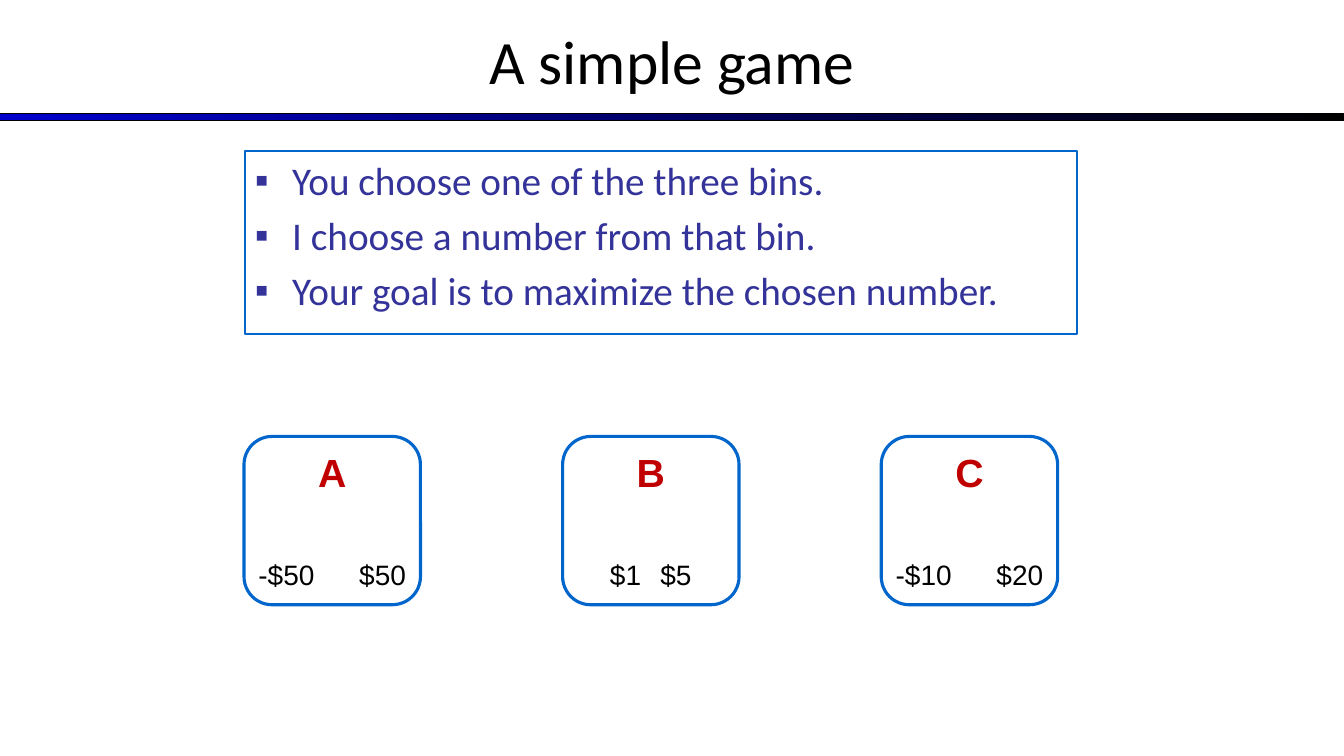
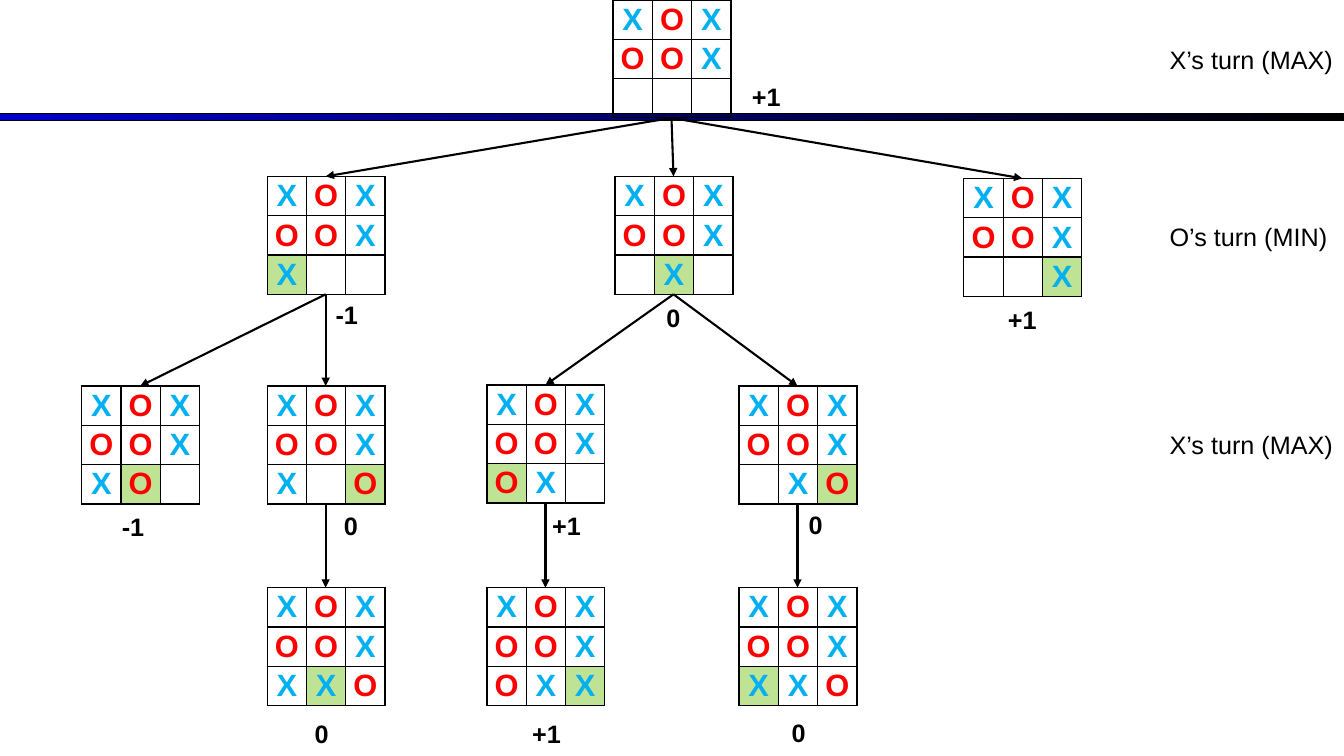
"""Build two slides on adversarial search: a game of bins and a game tree."""
from dataclasses import dataclass

from lxml.etree import SubElement
from pptx import Presentation
from pptx.dml.color import RGBColor
from pptx.enum.shapes import MSO_CONNECTOR as Connector, MSO_SHAPE as Shape
from pptx.enum.text import MSO_ANCHOR as Anchor, PP_ALIGN as Align
from pptx.oxml.ns import qn
from pptx.util import Pt

SCALE = 9144
PAGE_WIDTH, PAGE_HEIGHT = 1333, 750


@dataclass(frozen=True)
class Theme:
    black: str = "000000"
    white: str = "FFFFFF"
    band: str = "0000CC"
    outline: str = "0066CC"
    rule_text: str = "333399"
    bin_name: str = "C00000"
    cross: str = "00B0F0"
    nought: str = "FF0000"
    last_move: str = "BEE395"
    heading_font: str = "Calibri"
    label_font: str = "Arial"
    title_size: int = 44
    rule_size: int = 28
    amount_size: int = 20
    mark_size: int = 22
    label_size: int = 18


THEME = Theme()
TITLE = dict(name=THEME.heading_font, size=THEME.title_size, color=THEME.black)
RULE = dict(name=THEME.heading_font, size=THEME.rule_size, color=THEME.rule_text)
BIN_NAME = dict(name=THEME.label_font, size=THEME.rule_size, color=THEME.bin_name, bold=True)
AMOUNT = dict(name=THEME.label_font, size=THEME.amount_size, color=THEME.black)
LABEL = dict(name=THEME.label_font, size=THEME.label_size, color=THEME.black)
SCORE = dict(LABEL, bold=True)
MARK = dict(name=THEME.label_font, size=THEME.mark_size, bold=True)
MARK_COLORS = {"X": THEME.cross, "O": THEME.nought}

GAME_TITLE = "A simple game"
RULES = [
    "You choose one of the three bins.",
    "I choose a number from that bin.",
    "Your goal is to maximize the chosen number.",
]
BINS = [("A", "-$50", "$50"), ("B", "$1", "$5"), ("C", "-$10", "$20")]
BIN_LEFT, BIN_TOP, BIN_WIDTH, BIN_HEIGHT, BIN_STEP = 242, 433, 175, 167, 316

CELL = 39
BOARD = 3 * CELL
SCORE_WIDTH, LABEL_WIDTH, LABEL_HEIGHT = 50, 174, 30
OPENING = ["XOX", "OOX"]
# name: (parent, left, top, last row, last move column, score, score centre, score top)
BOARDS = {
    "root": (None, 608, 0, "   ", None, "+1", 760, 81),
    "left": ("root", 265, 175, "X  ", 0, "-1", 344, 297),
    "middle": ("root", 610, 175, " X ", 1, "0", 668, 300),
    "right": ("root", 956, 177, "  X", 2, "+1", 1014, 302),
    "left block": ("left", 81, 383, "XO ", 1, "-1", 132, 507),
    "left corner": ("left", 265, 383, "X O", 2, "0", 348, 506),
    "middle left": ("middle", 483, 382, "OX ", 0, "+1", 562, 506),
    "middle right": ("middle", 733, 383, " XO", 2, "0", 809, 505),
    "left end": ("left corner", 265, 583, "XXO", 1, "0", 319, 713),
    "middle win": ("middle left", 483, 583, "OXX", 2, "+1", 542, 713),
    "middle end": ("middle right", 733, 583, "XXO", 0, "0", 792, 712),
}
TURN_LEFT = 1160
TURNS = [("X’s turn (MAX)", 44), ("O’s turn (MIN)", 220), ("X’s turn (MAX)", 426)]


def px(*lengths):
    return [length * SCALE for length in lengths]


def rgb(value):
    return RGBColor.from_string(value)


def style_font(font, formats):
    for key, value in formats.items():
        if key == "color":
            font.color.rgb = rgb(value)
        else:
            setattr(font, key, Pt(value) if key == "size" else value)


def write(para, text, formats, align=Align.LEFT):
    span = para.add_run()
    span.text = text
    para.alignment = align
    style_font(span.font, formats)


def prepare_frame(frame, anchor=Anchor.TOP, margins=(0, 0, 0, 0)):
    frame.word_wrap = True
    frame.vertical_anchor = anchor
    for side, margin in zip(("left", "top", "right", "bottom"), px(*margins)):
        setattr(frame, f"margin_{side}", margin)
    return frame


def add_text(page, place, text, formats, align=Align.LEFT, anchor=Anchor.TOP):
    frame = prepare_frame(page.shapes.add_textbox(*px(*place)).text_frame, anchor)
    write(frame.paragraphs[0], text, formats, align)


def add_box(page, kind, place, line_color, line_width, fill=None):
    box = page.shapes.add_shape(kind, *px(*place))
    box.shadow.inherit = False
    box.line.color.rgb = rgb(line_color)
    box.line.width = Pt(line_width)
    if fill:
        box.fill.solid()
        box.fill.fore_color.rgb = rgb(fill)
    else:
        box.fill.background()
    return box


def add_page(deck):
    page = deck.slides.add_slide(deck.slide_layouts[6])
    band = add_box(page, Shape.RECTANGLE, (0, 113, PAGE_WIDTH, 7), THEME.black, 0.75)
    band.fill.gradient()
    band.fill.gradient_angle = 0
    for stop, color in zip(band.fill.gradient_stops, (THEME.band, THEME.black)):
        stop.color.rgb = rgb(color)
    return page


def add_rules(page):
    box = add_box(page, Shape.RECTANGLE, (243, 150, 825, 181), THEME.outline, 1.5)
    frame = prepare_frame(box.text_frame, margins=(10, 5, 10, 5))
    for index, rule in enumerate(RULES):
        para = frame.add_paragraph() if index else frame.paragraphs[0]
        props = para._p.get_or_add_pPr()
        props.set("marL", str(37 * SCALE))
        props.set("indent", str(-37 * SCALE))
        SubElement(props, qn("a:buFont"), typeface=THEME.label_font)
        SubElement(props, qn("a:buChar"), char="▪")
        if index:
            para.space_before = Pt(5.6)
        write(para, rule, RULE)


def add_bin(page, index, name, low, high):
    place = (BIN_LEFT + index * BIN_STEP, BIN_TOP, BIN_WIDTH, BIN_HEIGHT)
    box = add_box(page, Shape.ROUNDED_RECTANGLE, place, THEME.outline, 2.25, THEME.white)
    frame = prepare_frame(box.text_frame, margins=(0, 4, 0, 0))
    write(frame.paragraphs[0], name, BIN_NAME, Align.CENTER)
    amounts = frame.add_paragraph()
    amounts.space_before = Pt(44)
    write(amounts, f"{low}\t{high}", AMOUNT, Align.CENTER)


def add_borders(cell):
    props = cell._tc.get_or_add_tcPr()
    for index, side in enumerate(("lnL", "lnR", "lnT", "lnB")):
        border = props.makeelement(qn(f"a:{side}"), {"w": str(Pt(1))})
        fill = SubElement(border, qn("a:solidFill"))
        SubElement(fill, qn("a:srgbClr"), val=THEME.black)
        props.insert(index, border)


def add_board(page, left, top, last_row, move):
    table = page.shapes.add_table(3, 3, *px(left, top, BOARD, BOARD)).table
    table.first_row = table.horz_banding = False
    for column in table.columns:
        column.width = CELL * SCALE
    for row, marks in enumerate([*OPENING, last_row]):
        table.rows[row].height = CELL * SCALE
        for column, mark in enumerate(marks):
            cell = table.cell(row, column)
            cell.vertical_anchor = Anchor.MIDDLE
            for side in ("left", "top", "right", "bottom"):
                setattr(cell, f"margin_{side}", 0)
            if row == 2 and column == move:
                cell.fill.solid()
                cell.fill.fore_color.rgb = rgb(THEME.last_move)
            else:
                cell.fill.background()
            add_borders(cell)
            if mark in MARK_COLORS:
                formats = dict(MARK, color=MARK_COLORS[mark])
                write(cell.text_frame.paragraphs[0], mark, formats, Align.CENTER)


def add_arrow(page, parent, child):
    start_left, start_top = BOARDS[parent][1:3]
    end_left, end_top = BOARDS[child][1:3]
    half = BOARD // 2
    ends = px(start_left + half, start_top + BOARD, end_left + half, end_top)
    arrow = page.shapes.add_connector(Connector.STRAIGHT, *ends)
    arrow.line.color.rgb = rgb(THEME.black)
    arrow.line.width = Pt(1.5)
    SubElement(arrow.line._get_or_add_ln(), qn("a:tailEnd"), type="triangle")
    SubElement(arrow._element.spPr, qn("a:effectLst"))


def build_game(deck):
    page = add_page(deck)
    add_text(page, (0, -3, PAGE_WIDTH, 125), GAME_TITLE, TITLE, Align.CENTER, Anchor.MIDDLE)
    add_rules(page)
    for index, content in enumerate(BINS):
        add_bin(page, index, *content)


def build_tree(deck):
    page = add_page(deck)
    for _, left, top, last_row, move, *_ in BOARDS.values():
        add_board(page, left, top, last_row, move)
    for name, (parent, *_, score, centre, score_top) in BOARDS.items():
        if parent:
            add_arrow(page, parent, name)
        place = (centre - SCORE_WIDTH // 2, score_top, SCORE_WIDTH, LABEL_HEIGHT)
        add_text(page, place, score, SCORE, Align.CENTER)
    for turn, top in TURNS:
        add_text(page, (TURN_LEFT, top, LABEL_WIDTH, LABEL_HEIGHT), turn, LABEL)


def main():
    deck = Presentation()
    deck.slide_width, deck.slide_height = px(PAGE_WIDTH, PAGE_HEIGHT)
    build_game(deck)
    build_tree(deck)
    deck.save("out.pptx")


if __name__ == "__main__":
    main()
